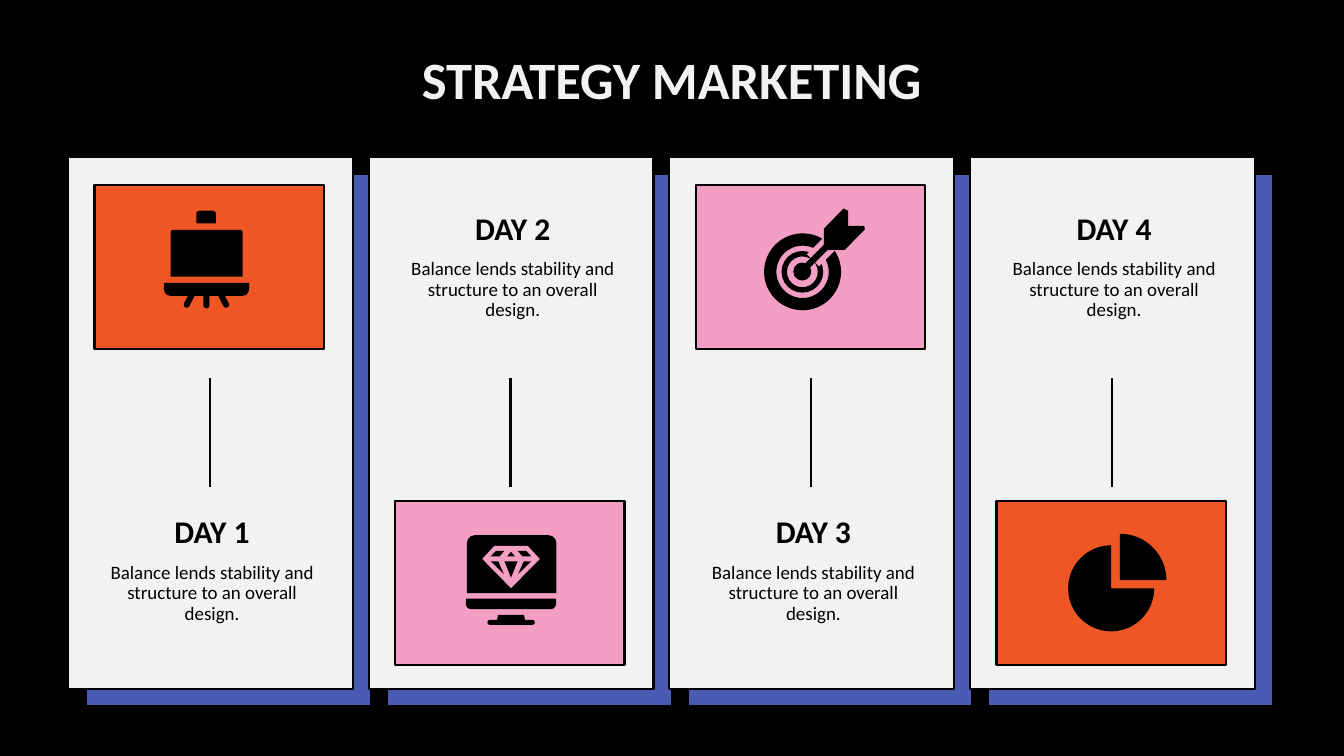
"""Build the four-day strategy marketing slide with alternating icon panels."""
from lxml.etree import SubElement
from pptx import Presentation
from pptx.dml.color import RGBColor
from pptx.enum.shapes import MSO_CONNECTOR as Link, MSO_SHAPE as Preset
from pptx.enum.text import MSO_ANCHOR as Anchor, PP_ALIGN as Align
from pptx.oxml.ns import qn
from pptx.util import Cm, Pt

COLOURS = {"black": "000000", "paper": "F1F2F2", "blue": "495BB2",
           "orange": "F05624", "pink": "F39FC3"}
DAYS = [("DAY 1", "easel", "orange", True), ("DAY 2", "screen", "pink", False),
        ("DAY 3", "target", "pink", True), ("DAY 4", "pie", "orange", False)]
ADVICE = "Balance lends stability and structure to an overall design."

SLAB, PILL = Preset.ROUND_2_SAME_RECTANGLE, Preset.ROUNDED_RECTANGLE
ICON_PARTS = {
    "easel": [(SLAB, 3.84, 2.26, 3.63, 2.36, 0, 0.06, "black"),
              (SLAB, 5.13, 1.3, 0.99, 0.64, 0, 0.25, "black"),
              (SLAB, 3.5, 4.93, 4.29, 0.66, 180, 0.5, "black"),
              *[(PILL, 5.49 + 0.85 * side, 5.3, 0.3, 0.92, -27 * side, 0.5, "black")
                for side in (-1, 0, 1)]],
    "screen": [(SLAB, 3.61, 1.7, 4.52, 2.92, 0, 0.14, "black"),
               (SLAB, 3.56, 4.9, 4.55, 0.53, 180, 0.5, "black"),
               (Preset.TRAPEZOID, 5.13, 5.72, 1.42, 0.28, 0, 0.2, "black"),
               (PILL, 4.65, 5.97, 2.39, 0.25, 0, 0.5, "black")],
    "target": [(Preset.DONUT, 3.44, 2.44, 3.88, 3.88, 0, 0.16, "black"),
               (Preset.DONUT, 4.32, 3.33, 2.1, 2.1, 0, 0.13, "black"),
               (Preset.RECTANGLE, 5.65, 2.77, 1.7, 0.86, -45, None, "pink"),
               (Preset.OVAL, 4.91, 3.91, 0.91, 0.91, 0, None, "black"),
               (Preset.RECTANGLE, 5.22, 3.42, 1.8, 0.32, -45, None, "black")],
    "pie": [(Preset.PIE, 3.61, 2.21, 4.34, 4.34, 0, None, "black"),
            (Preset.PIE_WEDGE, 6.22, 1.63, 2.34, 2.34, 90, None, "black")],
}

GEM_AXIS = 5.84
GEM_SIDE_FACETS = [[(0.33, 2.49), (0.58, 2.77), (1.02, 2.77), (0.76, 2.49)],
                   [(0.64, 3.02), (0.36, 3.66), (1.02, 3.02)]]
GEM = [("pink", [(-0.84, 2.24), (0.84, 2.24), (1.45, 2.9), (0, 4.37), (-1.45, 2.9)]),
       ("black", [(0, 2.54), (0.2, 2.77), (-0.2, 2.77)]),
       ("black", [(-0.33, 3.02), (0.33, 3.02), (0, 3.84)]),
       *[("black", [(side * x, y) for x, y in facet])
         for facet in GEM_SIDE_FACETS for side in (-1, 1)]]
ICON_OUTLINES = {
    "screen": [(colour, [(GEM_AXIS + x, y) for x, y in corners]) for colour, corners in GEM],
    "target": [("black", [(6.45, 2.21), (7.44, 1.19), (7.67, 1.3), (7.67, 2.06),
                          (8.48, 2.06), (8.52, 2.24), (7.5, 3.28), (6.45, 3.28)])],
}

deck = Presentation()
deck.slide_width, deck.slide_height = Cm(67.72), Cm(38.1)
slide = deck.slides.add_slide(deck.slide_layouts[6])
slide.background.fill.solid()
slide.background.fill.fore_color.rgb = RGBColor.from_string(COLOURS["black"])


def write(text, left, top, width, height, size, bold=False, colour="black"):
    frame = slide.shapes.add_textbox(Cm(left), Cm(top), Cm(width), Cm(height)).text_frame
    frame.word_wrap = True
    frame.vertical_anchor = Anchor.TOP
    frame.margin_left = frame.margin_right = frame.margin_top = frame.margin_bottom = 0
    paragraph = frame.paragraphs[0]
    paragraph.alignment, paragraph.line_spacing = Align.CENTER, 0.9
    run = paragraph.add_run()
    run.text = text
    run.font.name, run.font.size, run.font.bold = "Calibri", Pt(size), bold
    run.font.color.rgb = RGBColor.from_string(COLOURS[colour])


def paint(shape, colour, outlined=False):
    shape.shadow.inherit = False
    shape.fill.solid()
    shape.fill.fore_color.rgb = RGBColor.from_string(COLOURS[colour])
    if outlined:
        shape.line.color.rgb = RGBColor.from_string(COLOURS["black"])
        shape.line.width = Pt(3)
    else:
        shape.line.fill.background()


write("STRATEGY MARKETING", 10.34, 2.74, 47.02, 3.28, size=75, bold=True, colour="paper")

for number, (day, icon, accent, icon_on_top) in enumerate(DAYS):
    left = 3.43 + 15.15 * number
    panel_left = left + 1.33
    panel_top, heading_top = (9.32, 26.04) if icon_on_top else (25.27, 10.74)
    for x, y, width, height, colour in [
            (left + 0.91, 8.78, 14.35, 26.8, "blue"),
            (left, 7.92, 14.35, 26.8, "paper"),
            (panel_left, panel_top, 11.56, 8.26, accent)]:
        card = slide.shapes.add_shape(Preset.RECTANGLE, Cm(x), Cm(y), Cm(width), Cm(height))
        paint(card, colour, outlined=True)

    middle = Cm(left + 7.14)
    divider = slide.shapes.add_connector(Link.STRAIGHT, middle, Cm(19.05), middle, Cm(24.56))
    divider.line.color.rgb = RGBColor.from_string(COLOURS["black"])
    divider.line.width = Pt(3)
    SubElement(divider._element.spPr, qn("a:effectLst"))

    write(day, left + 1.63, heading_top, 11.25, 1.8, size=45, bold=True)
    write(ADVICE, left + 1.63, heading_top + 2.34, 11.25, 4.24, size=27)

    for preset, x, y, width, height, turn, adjustment, colour in ICON_PARTS[icon]:
        part = slide.shapes.add_shape(preset, Cm(panel_left + x), Cm(panel_top + y),
                                      Cm(width), Cm(height))
        part.rotation = turn
        if adjustment is not None:
            part.adjustments[0] = adjustment
        paint(part, colour)

    for colour, corners in ICON_OUTLINES.get(icon, []):
        start, *rest = [(Cm(panel_left + x), Cm(panel_top + y)) for x, y in corners]
        outline = slide.shapes.build_freeform(*start, scale=1.0)
        outline.add_line_segments(rest, close=True)
        paint(outline.convert_to_shape(), colour)

deck.save("out.pptx")
